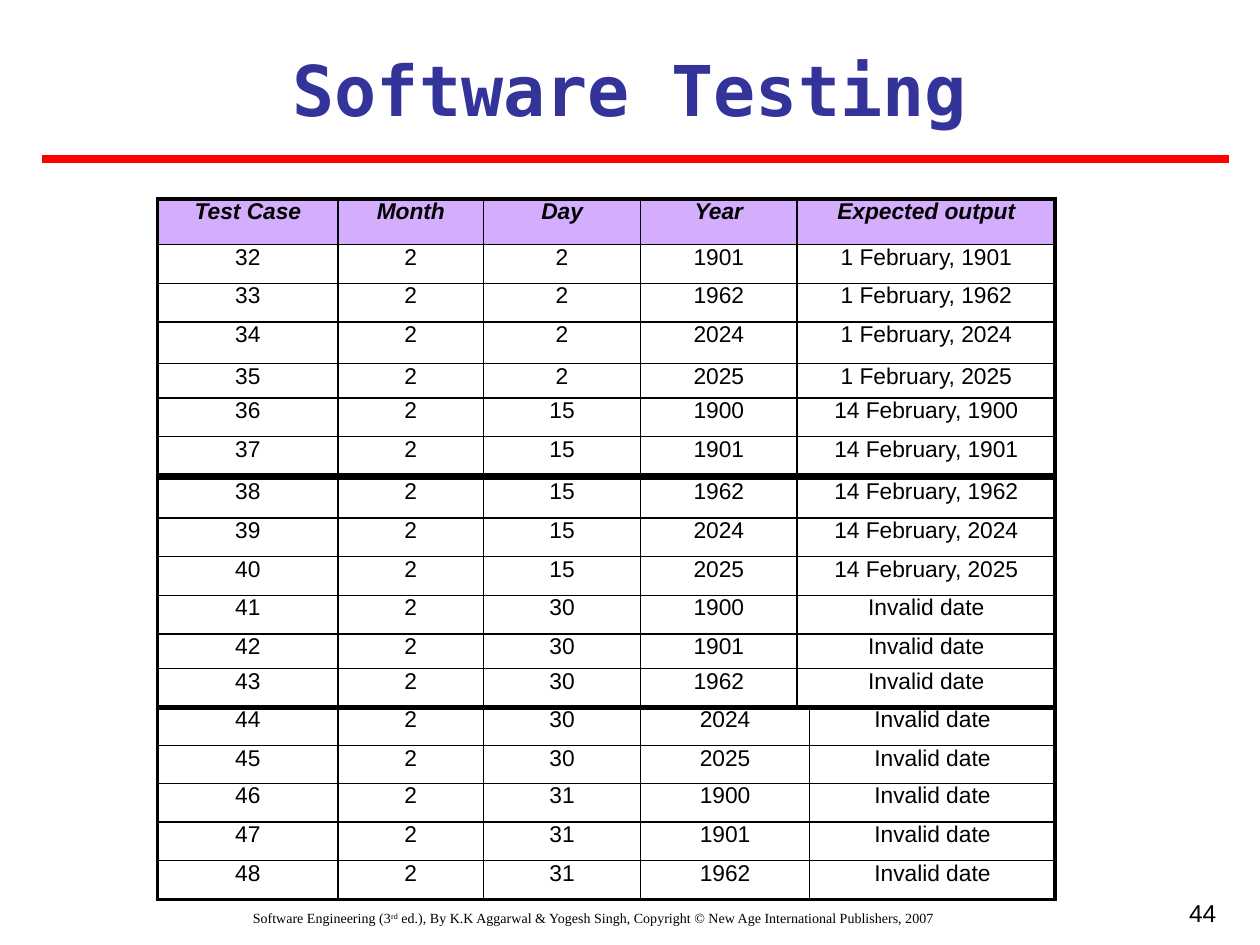
from dataclasses import dataclass

from lxml.etree import SubElement as Sub
from pptx import Presentation
from pptx.dml.color import RGBColor as RGB
from pptx.enum.shapes import MSO_CONNECTOR as Conn
from pptx.enum.text import PP_ALIGN as Align
from pptx.oxml.ns import qn
from pptx.util import Cm, Pt


@dataclass(frozen=True)
class Theme:
    ink: str = "000000"
    title: str = "333399"
    rule: str = "FF0000"
    head: str = "D5ADFD"
    sans: str = "Arial"
    mono: str = "DejaVu Sans Mono"
    serif: str = "Times New Roman"
    big: float = 40
    page: float = 14
    body: float = 13
    small: float = 8
    thick: float = 2.25
    thin: float = 1


theme = Theme()


def style(para, align, face, size, color=theme.ink, bold=False, italic=False):
    para.alignment = align
    for run in para.runs:
        font = run.font
        font.name, font.size = face, Pt(size)
        font.bold, font.italic = bold, italic
        font.color.rgb = RGB.from_string(color)


def border(cell, edges):
    """Draw cell edges given as (side, width in points), in L, R, T, B order."""
    props = cell._tc.get_or_add_tcPr()
    for side, width in edges:
        line = Sub(props, qn(f"a:ln{side}"), w=str(Pt(width)))
        Sub(Sub(line, qn("a:solidFill")), qn("a:srgbClr"), val=theme.ink)


prs = Presentation()
prs.slide_width, prs.slide_height = Cm(25.4), Cm(19.05)
slide = prs.slides.add_slide(prs.slide_layouts[6])
shapes = slide.shapes

# Footer, page number and title
labels = [
    ((0.64, 18.21, 22.66, 0.84),
     ["Software Engineering (3", "rd",
      " ed.), By K.K Aggarwal & Yogesh Singh, Copyright © New Age "
      "International Publishers, 2007"],
     (Align.CENTER, theme.serif, theme.small)),
    ((18.85, 17.98, 5.92, 1.5), ["44"], (Align.RIGHT, theme.sans, theme.page)),
    ((0.84, 0.81, 23.7, 1.96), ["Software Testing"],
     (Align.CENTER, theme.mono, theme.big, theme.title, True)),
]
for place, parts, look in labels:
    frame = shapes.add_textbox(*map(Cm, place)).text_frame
    frame.word_wrap = True
    para = frame.paragraphs[0]
    for part in parts:
        run = para.add_run()
        run.text = part
        if part == "rd":
            run._r.get_or_add_rPr().set("baseline", "30000")
    style(para, *look)

# Red rule under the title
rule = shapes.add_connector(Conn.STRAIGHT, Cm(0.84), Cm(3.2), Cm(24.77), Cm(3.2))
rule.line.color.rgb = RGB.from_string(theme.rule)
rule.line.width = Pt(4.5)
Sub(rule._element.spPr, qn("a:effectLst"))

# Test cases: each day is tried with every year
header = ["Test Case", "Month", "Day", "Year", "Expected output"]
years = [1900, 1901, 1962, 2024, 2025]
days = [2, 15, 30, 31]
cases = []
for case in range(32, 49):
    turn, pos = divmod(case - 31, len(years))
    day, year = days[turn], years[pos]
    result = f"{day - 1} February, {year}" if day < 30 else "Invalid date"
    cases.append([str(case), "2", str(day), str(year), result])

# Three stacked tables: top, column widths, row heights, rows
wide = [3.63, 2.94, 3.16, 3.16, 5.2]
last = [3.63, 2.94, 3.16, 3.41, 4.95]
blocks = [
    (4.01, wide, [0.92, 0.78, 0.78, 0.84, 0.69, 0.78, 0.78], [header] + cases[:6]),
    (9.65, wide, [0.79, 0.78, 0.78, 0.78, 0.7, 0.79], cases[6:12]),
    (14.25, last, [0.78, 0.76, 0.78, 0.78, 0.78], cases[12:]),
]
for top, cols, heights, rows in blocks:
    grid = shapes.add_table(len(rows), len(cols), Cm(3.18), Cm(top),
                            Cm(sum(cols)), Cm(sum(heights))).table
    grid.first_row = grid.horz_banding = False
    for col, width in zip(grid.columns, cols):
        col.width = Cm(width)
    for r, (row, height) in enumerate(zip(rows, heights)):
        grid.rows[r].height = Cm(height)
        for c, text in enumerate(row):
            cell = grid.cell(r, c)
            cell.margin_left = cell.margin_right = Cm(0.25)
            cell.margin_top = cell.margin_bottom = 0
            outer = [("L", c == 0), ("R", c == len(cols) - 1),
                     ("T", r == 0), ("B", r == len(rows) - 1)]
            border(cell, [(side, theme.thick if edge else theme.thin)
                          for side, edge in outer])
            head = row is header
            if head:
                cell.fill.solid()
                cell.fill.fore_color.rgb = RGB.from_string(theme.head)
            else:
                cell.fill.background()
            para = cell.text_frame.paragraphs[0]
            para.text = text
            style(para, Align.CENTER, theme.sans, theme.body, bold=head, italic=head)

prs.save("out.pptx")
